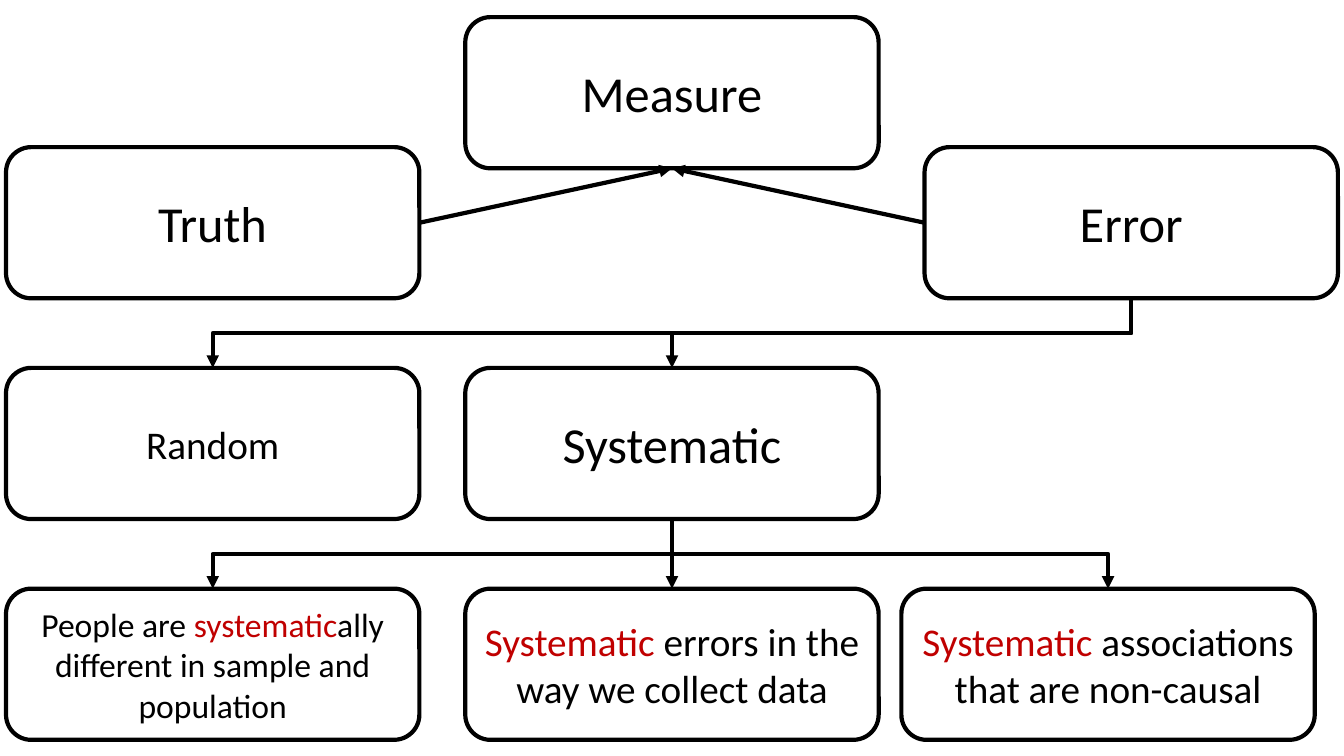
from lxml.etree import SubElement
from pptx import Presentation
from pptx.dml.color import RGBColor
from pptx.enum.shapes import MSO_CONNECTOR, MSO_SHAPE
from pptx.enum.text import MSO_ANCHOR, PP_ALIGN
from pptx.oxml.ns import qn
from pptx.util import Inches, Pt

COLORS = {"ink": "000000", "accent": "C00000"}
FONT = "Calibri"
LINE_WIDTH = Pt(3)
BOX_WIDTH, BOX_HEIGHT = 4.1, 1.5
COLUMNS = [0.06 + 4.555 * column for column in range(3)]
ROWS = [0.17] + [1.46 + 2.19 * row for row in range(3)]
LAST_CAUSE_LEFT = 8.94

deck = Presentation()
deck.slide_width, deck.slide_height = Inches(13.33), Inches(7.5)
page = deck.slides.add_slide(deck.slide_layouts[6])


def add_box(text, left, top, size=36, accent=""):
    box = page.shapes.add_shape(
        MSO_SHAPE.ROUNDED_RECTANGLE,
        Inches(left), Inches(top), Inches(BOX_WIDTH), Inches(BOX_HEIGHT),
    )
    box.shadow.inherit = False
    box.fill.background()
    box.line.color.rgb = RGBColor.from_string(COLORS["ink"])
    box.line.width = LINE_WIDTH
    frame = box.text_frame
    frame.word_wrap = True
    frame.vertical_anchor = MSO_ANCHOR.MIDDLE
    para = frame.paragraphs[0]
    para.alignment = PP_ALIGN.CENTER
    before, found, after = text.partition(accent) if accent else (text, "", "")
    for words, color in ((before, "ink"), (found, "accent"), (after, "ink")):
        if words:
            span = para.add_run()
            span.text = words
            span.font.name = FONT
            span.font.size = Pt(size)
            span.font.color.rgb = RGBColor.from_string(COLORS[color])
    return box


def add_arrow(kind, start, end, rotation=0):
    arrow = page.shapes.add_connector(
        kind, *[Inches(length) for length in (*start, *end)]
    )
    arrow.line.color.rgb = RGBColor.from_string(COLORS["ink"])
    arrow.line.width = LINE_WIDTH
    properties = arrow._element.spPr
    SubElement(properties.find(qn("a:ln")), qn("a:tailEnd"), type="triangle")
    SubElement(properties, qn("a:effectLst"))
    if rotation:
        properties.find(qn("a:xfrm")).set("rot", str(rotation * 60000))
    return arrow


measure = add_box("Measure", COLUMNS[1], ROWS[0])
truth = add_box("Truth", COLUMNS[0], ROWS[1])
error = add_box("Error", COLUMNS[2], ROWS[1])
random_error = add_box("Random", COLUMNS[0], ROWS[2], size=28)
systematic = add_box("Systematic", COLUMNS[1], ROWS[2])
selection = add_box(
    "People are systematically different in sample and population",
    COLUMNS[0], ROWS[3], size=24, accent="systematic",
)
collection = add_box(
    "Systematic errors in the way we collect data",
    COLUMNS[1], ROWS[3], size=28, accent="Systematic",
)
association = add_box(
    "Systematic associations that are non-causal",
    LAST_CAUSE_LEFT, ROWS[3], size=28, accent="Systematic",
)

straight_links = [
    (error, 1, measure, 2),
    (truth, 3, measure, 2),
    (systematic, 2, collection, 0),
]
for source, source_side, target, target_side in straight_links:
    arrow = add_arrow(MSO_CONNECTOR.STRAIGHT, (0, 0), (1, 1))
    arrow.begin_connect(source, source_side)
    arrow.end_connect(target, target_side)

bent_links = [
    (error, random_error),
    (error, systematic),
    (systematic, selection),
    (systematic, association),
]
for source, target in bent_links:
    start_x = (source.left + source.width / 2) / Inches(1)
    start_y = (source.top + source.height) / Inches(1)
    end_x = (target.left + target.width / 2) / Inches(1)
    end_y = target.top / Inches(1)
    middle_x, middle_y = (start_x + end_x) / 2, (start_y + end_y) / 2
    half_span, half_drop = abs(end_x - start_x) / 2, (end_y - start_y) / 2
    goes_right = end_x > start_x
    offset = half_drop if goes_right else -half_drop
    add_arrow(
        MSO_CONNECTOR.ELBOW,
        (middle_x + offset, middle_y - half_span),
        (middle_x - offset, middle_y + half_span),
        rotation=270 if goes_right else 90,
    )

deck.save("out.pptx")
